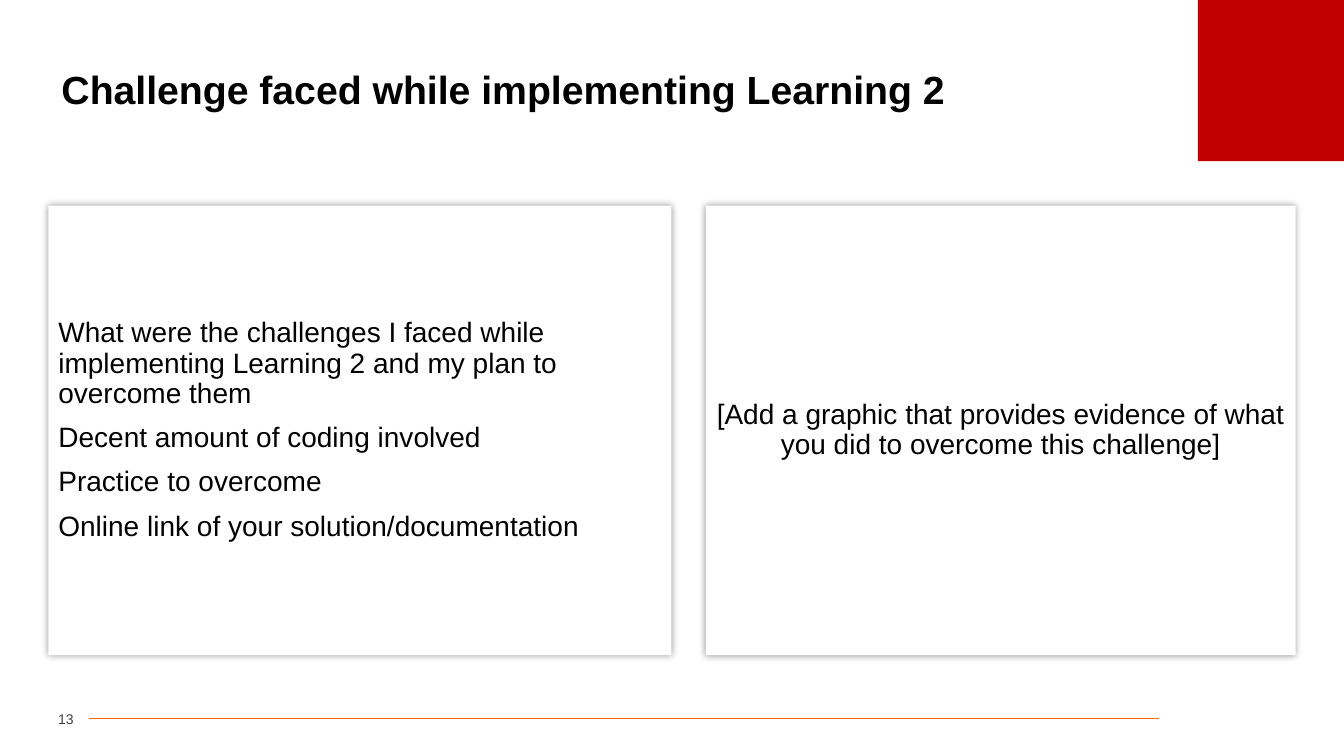
from dataclasses import dataclass

from lxml.etree import SubElement
from pptx import Presentation
from pptx.dml.color import RGBColor
from pptx.enum.shapes import MSO_CONNECTOR as Connector, MSO_SHAPE as Shape
from pptx.enum.text import MSO_ANCHOR as Anchor, PP_ALIGN as Align
from pptx.oxml.ns import qn
from pptx.util import Inches, Pt


@dataclass(frozen=True)
class Theme:
    font: str = "Arial"
    text: str = "000000"
    muted: str = "404040"
    panel: str = "FFFFFF"
    accent: str = "C00000"
    rule: str = "FF6600"
    title_size: int = 28
    body_size: int = 20
    number_size: int = 10


THEME = Theme()
PANEL_TOP, PANEL_HEIGHT = 2.04, 4.46
CHALLENGES = [
    "What were the challenges I faced while implementing Learning 2 and my plan to overcome them",
    "Decent amount of coding involved",
    "Practice to overcome",
    "Online link of your solution/documentation",
]
EVIDENCE = ["[Add a graphic that provides evidence of what you did to overcome this challenge]"]


def colour(value):
    return RGBColor.from_string(value)


def write(frame, lines, size, ink=THEME.text, align=Align.LEFT, spacing=0.9, bold=False):
    frame.word_wrap = True
    frame.vertical_anchor = Anchor.MIDDLE
    for index, line in enumerate(lines):
        para = frame.add_paragraph() if index else frame.paragraphs[0]
        para.alignment = align
        para.line_spacing = spacing
        para.space_before = Pt(10 if index else 0)
        span = para.add_run()
        span.text = line
        span.font.name = THEME.font
        span.font.size = Pt(size)
        span.font.bold = bold
        span.font.color.rgb = colour(ink)


def add_block(page, left, top, width, height, fill):
    block = page.shapes.add_shape(
        Shape.RECTANGLE, Inches(left), Inches(top), Inches(width), Inches(height))
    block.shadow.inherit = False
    block.fill.solid()
    block.fill.fore_color.rgb = colour(fill)
    block.line.fill.background()
    return block


def add_glow_shadow(block):
    effects = block._element.spPr.find(qn("a:effectLst"))
    shadow = SubElement(effects, qn("a:outerShdw"), blurRad=str(Pt(5)), dist="0",
                        dir="0", algn="ctr", rotWithShape="0")
    ink = SubElement(shadow, qn("a:srgbClr"), val=THEME.text)
    SubElement(ink, qn("a:alpha"), val="40000")


def add_panel(page, left, width, lines, align):
    panel = add_block(page, left, PANEL_TOP, width, PANEL_HEIGHT, THEME.panel)
    add_glow_shadow(panel)
    write(panel.text_frame, lines, THEME.body_size, align=align)


def add_title(page, text):
    title = page.shapes.title
    title.left, title.top = Inches(0.51), Inches(0.52)
    title.width, title.height = Inches(12.31), Inches(0.78)
    write(title.text_frame, [text], THEME.title_size, bold=True)


def add_footer(page, number):
    rule = page.shapes.add_connector(
        Connector.STRAIGHT, Inches(0.88), Inches(7.13), Inches(11.5), Inches(7.13))
    rule.line.color.rgb = colour(THEME.rule)
    rule.line.width = Pt(0.5)
    SubElement(rule._element.spPr, qn("a:effectLst"))
    box = page.shapes.add_textbox(Inches(0.33), Inches(6.99), Inches(0.4), Inches(0.29))
    box.text_frame.margin_left = box.text_frame.margin_right = 0
    write(box.text_frame, [number], THEME.number_size, THEME.muted, Align.RIGHT, 1.0)


def main():
    deck = Presentation()
    deck.slide_width, deck.slide_height = Inches(13.33), Inches(7.5)
    page = deck.slides.add_slide(deck.slide_layouts.get_by_name("Title Only"))
    add_block(page, 11.88, 0, 1.45, 1.6, THEME.accent)
    add_title(page, "Challenge faced while implementing Learning 2")
    add_footer(page, "13")
    add_panel(page, 0.48, 6.18, CHALLENGES, Align.LEFT)
    add_panel(page, 7, 5.85, EVIDENCE, Align.CENTER)
    deck.save("out.pptx")


if __name__ == "__main__":
    main()
